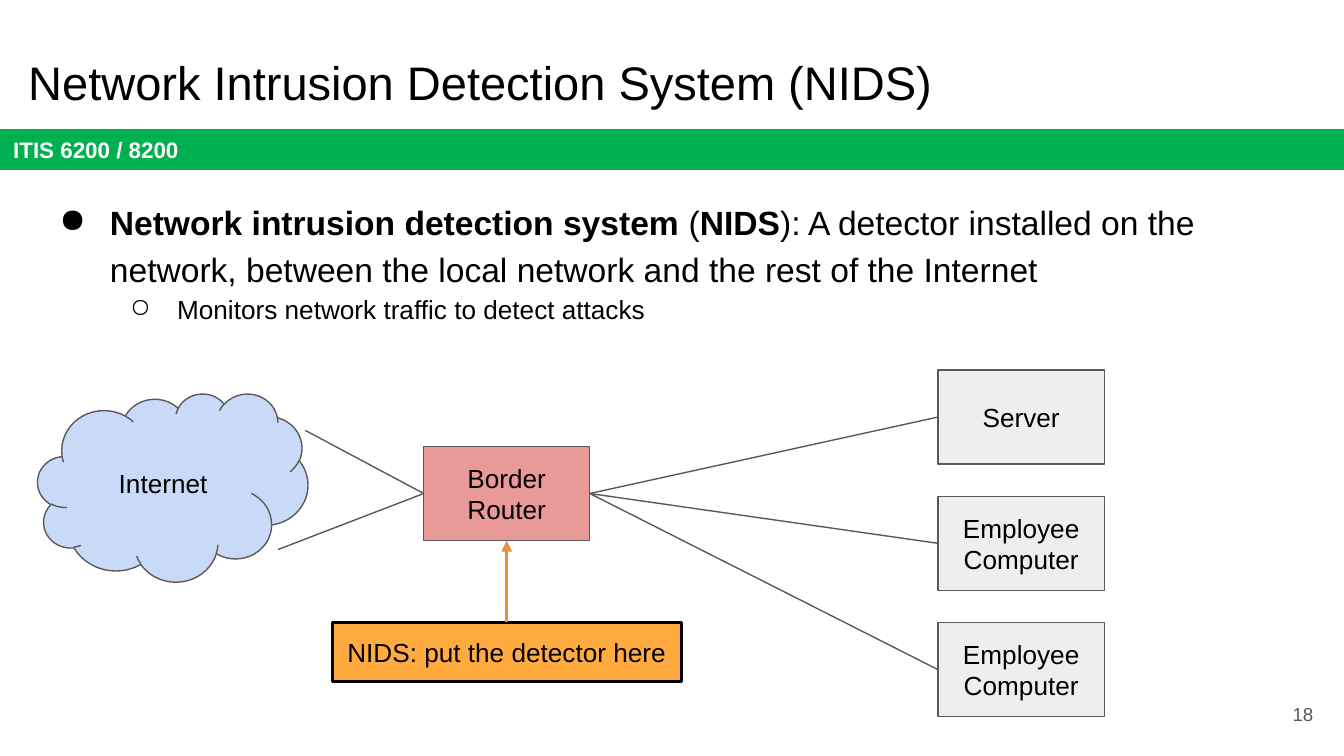
from lxml import etree
from pptx import Presentation
from pptx.dml.color import RGBColor
from pptx.enum.shapes import MSO_CONNECTOR, MSO_SHAPE
from pptx.enum.text import MSO_ANCHOR, PP_ALIGN
from pptx.oxml.ns import qn
from pptx.util import Pt

RECT, CLOUD = MSO_SHAPE.RECTANGLE, MSO_SHAPE.CLOUD
LINE = MSO_CONNECTOR.STRAIGHT
TOP, MIDDLE = MSO_ANCHOR.TOP, MSO_ANCHOR.MIDDLE
LEFT, CENTER, RIGHT = PP_ALIGN.LEFT, PP_ALIGN.CENTER, PP_ALIGN.RIGHT

BLACK = RGBColor(0x00, 0x00, 0x00)
WHITE = RGBColor(0xFF, 0xFF, 0xFF)
GREEN = RGBColor(0x00, 0xB0, 0x50)
GRAY = RGBColor(0x59, 0x59, 0x59)
PALE = RGBColor(0xEE, 0xEE, 0xEE)
PINK = RGBColor(0xEA, 0x99, 0x99)
BLUE = RGBColor(0xC9, 0xDA, 0xF8)
AMBER = RGBColor(0xFF, 0xAB, 0x40)
ORANGE = RGBColor(0xE6, 0x91, 0x38)

TITLE = "Network Intrusion Detection System (NIDS)"
COURSE = "ITIS 6200 / 8200"
PAGE = "18"
# bullet, size, left margin, hanging indent, runs of (text, bold)
POINTS = [
    ("●", 18, 36, 27, [
        ("Network intrusion detection system", True),
        (" (", False),
        ("NIDS", True),
        ("): A detector installed on the network, between the local "
         "network and the rest of the Internet", False),
    ]),
    ("○", 14, 72, 25.2, [("Monitors network traffic to detect attacks", False)]),
]
HOSTS = ["Server", "Employee Computer", "Employee Computer"]

NODE_W, NODE_H = 89, 50.4
HOST_X, HOST_Y, HOST_STEP = 502.6, 198.2, 67.7
ROUTER_X, ROUTER_Y = 227, 239.2
NOTE_W, NOTE_H, NOTE_Y = 187, 31.7, 333.4
CLOUD_BOX = (20.2, 210.8, 144.8, 100.8)
CLOUD_ENDS = [(163.6, 230.6), (149, 294.4)]


def set_text(shape, text, size, color=BLACK, bold=False, align=LEFT, anchor=MIDDLE):
    frame = shape.text_frame
    frame.word_wrap = True
    frame.vertical_anchor = anchor
    frame.margin_left = frame.margin_right = Pt(7.2)
    frame.margin_top = frame.margin_bottom = Pt(7.2)
    para = frame.paragraphs[0]
    para.text = text
    para.alignment = align
    set_font(para.font, size, color, bold)
    return frame


def set_font(font, size, color, bold):
    font.name, font.size, font.bold = "Arial", Pt(size), bold
    font.color.rgb = color


def add_label(slide, box, text, size, **style):
    shape = slide.shapes.add_textbox(*map(Pt, box))
    return set_text(shape, text, size, **style)


def add_node(slide, kind, box, fill, text, line=GRAY, width=0.75):
    shape = slide.shapes.add_shape(kind, *map(Pt, box))
    shape.shadow.inherit = False
    shape.fill.solid()
    shape.fill.fore_color.rgb = fill
    shape.line.color.rgb = line
    shape.line.width = Pt(width)
    set_text(shape, text, 14, align=CENTER)
    return shape


def add_link(slide, start, end, color=GRAY, width=0.75, arrow=False):
    link = slide.shapes.add_connector(LINE, *map(Pt, start + end))
    link.line.color.rgb = color
    link.line.width = Pt(width)
    props = link._element.spPr
    etree.SubElement(props, qn("a:effectLst"))
    if arrow:
        etree.SubElement(props.find(qn("a:ln")), qn("a:tailEnd"), type="triangle")


def add_points(slide):
    frame = add_label(slide, (15.8, 97.9, 671, 296.6), "", 18, anchor=TOP)
    for i, (mark, size, margin, hang, runs) in enumerate(POINTS):
        para = frame.add_paragraph() if i else frame.paragraphs[0]
        para.level = i
        para.line_spacing = 1.15
        set_font(para.font, size, BLACK, False)
        for text, bold in runs:
            run = para.add_run()
            run.text = text
            set_font(run.font, size, BLACK, bold)
        props = para._p.get_or_add_pPr()
        props.set("marL", str(Pt(margin)))
        props.set("indent", str(-Pt(hang)))
        bullet = etree.Element(qn("a:buChar"), char=mark)
        props.find(qn("a:defRPr")).addprevious(bullet)


def add_network(slide):
    mid = ROUTER_Y + NODE_H / 2
    left, right = (ROUTER_X, mid), (ROUTER_X + NODE_W, mid)
    for i, name in enumerate(HOSTS):
        top = HOST_Y + i * HOST_STEP
        add_node(slide, RECT, (HOST_X, top, NODE_W, NODE_H), PALE, name)
        add_link(slide, (HOST_X, top + NODE_H / 2), right)
    add_node(slide, RECT, (ROUTER_X, ROUTER_Y, NODE_W, NODE_H), PINK, "Border Router")

    center = ROUTER_X + NODE_W / 2
    add_node(slide, RECT, (center - NOTE_W / 2, NOTE_Y, NOTE_W, NOTE_H), AMBER,
             "NIDS: put the detector here", BLACK, 1.5)
    add_link(slide, (center, NOTE_Y), (center, ROUTER_Y + NODE_H), ORANGE, 1.5, True)

    for end in CLOUD_ENDS:
        add_link(slide, end, left)
    add_node(slide, CLOUD, CLOUD_BOX, BLUE, "Internet")


def main():
    deck = Presentation()
    deck.slide_width, deck.slide_height = Pt(720), Pt(405)
    slide = deck.slides.add_slide(deck.slide_layouts[6])

    bar = slide.shapes.add_shape(RECT, *map(Pt, (0, 69.2, 720, 21.8)))
    bar.shadow.inherit = False
    bar.fill.solid()
    bar.fill.fore_color.rgb = GREEN
    bar.line.fill.background()
    set_text(bar, COURSE, 12, WHITE, True)

    add_label(slide, (8, 21.6, 671, 45.4), TITLE, 25.2, anchor=TOP)
    add_label(slide, (667.4, 367.2, 43.2, 31), PAGE, 10, color=GRAY, align=RIGHT)
    add_points(slide)
    add_network(slide)
    deck.save("out.pptx")


if __name__ == "__main__":
    main()
